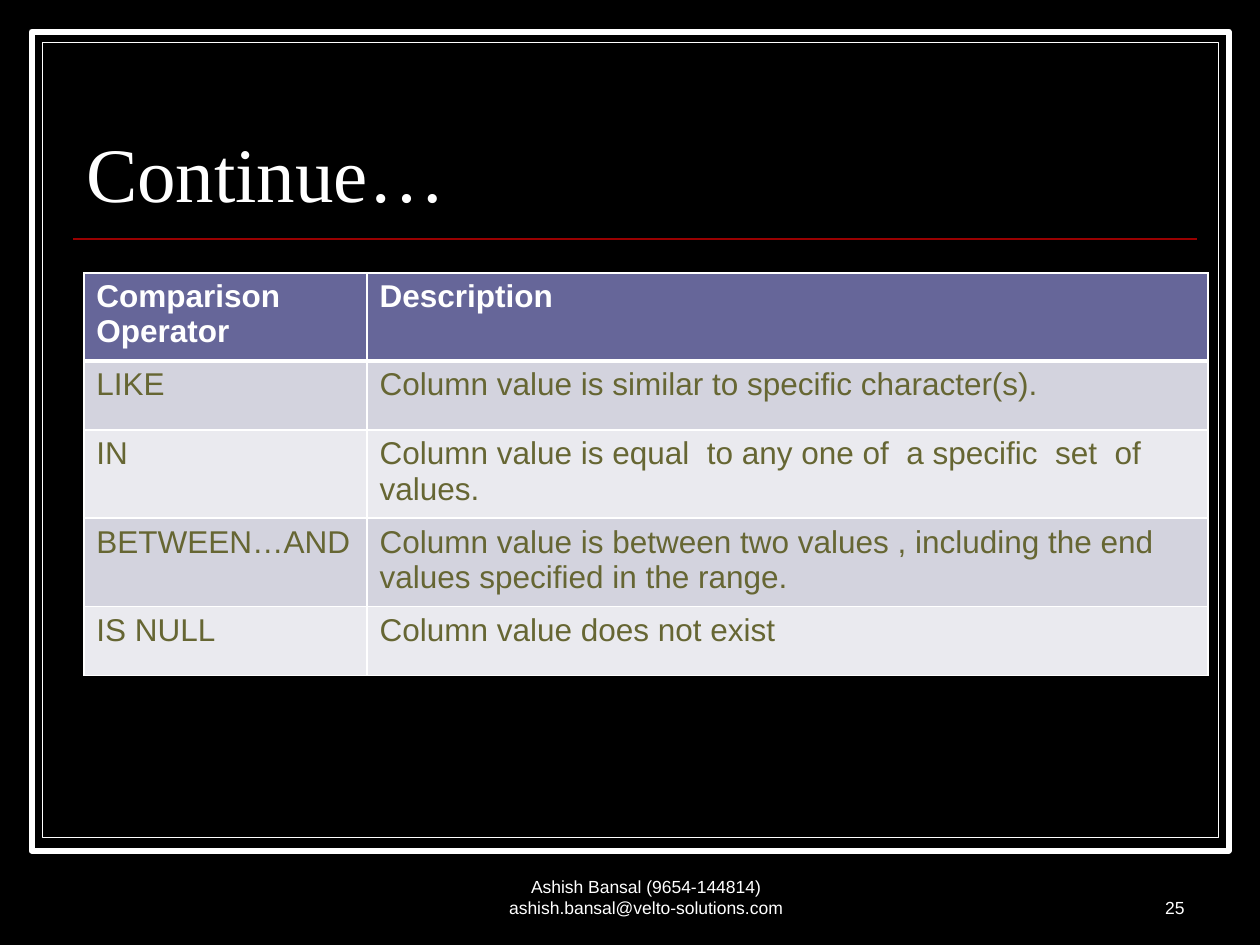
import dataclasses

import lxml.etree
import pptx
import pptx.dml.color
import pptx.enum.shapes
import pptx.enum.text
import pptx.oxml.ns
import pptx.util
from pptx.util import Cm, Pt

COLORS = {
    "background": "000000",
    "light": "FFFFFF",
    "rule": "990000",
    "header": "666699",
    "band_dark": "D3D3DE",
    "band_light": "EAEAEF",
    "body_text": "666633",
}
ALIGN = pptx.enum.text.PP_ALIGN
ANCHOR = pptx.enum.text.MSO_ANCHOR


@dataclasses.dataclass(frozen=True)
class Box:
    left: float
    top: float
    width: float
    height: float

    def lengths(self) -> tuple:
        return tuple(Cm(value) for value in dataclasses.astuple(self))


@dataclasses.dataclass(frozen=True)
class Frame:
    box: Box
    line_width: float


@dataclasses.dataclass(frozen=True)
class Footer:
    box: Box
    text: str
    alignment: ALIGN


FRAMES = [
    Frame(Box(0.64, 0.64, 24.13, 16.51), 3.5),
    Frame(Box(0.86, 0.86, 23.7, 16.03), 0.75),
]
TITLE_BOX = Box(1.48, 1.32, 22.65, 3.18)
RULE_TOP = 4.82
FOOTERS = [
    Footer(Box(9, 17.36, 8.04, 1.27),
           "Ashish Bansal (9654-144814) ashish.bansal@velto-solutions.com", ALIGN.CENTER),
    Footer(Box(18.84, 17.36, 5.29, 1.27), "25", ALIGN.RIGHT),
]
COLUMN_WIDTHS = [5.71, 16.95]
ROW_HEIGHT = 1.39
TABLE_BOX = Box(1.69, 5.5, sum(COLUMN_WIDTHS), 5 * ROW_HEIGHT)
ROWS = [
    ("Comparison \vOperator", "Description"),
    ("LIKE", "Column value is similar to specific character(s)."),
    ("IN", "Column value is equal  to any one of  a specific  set  of values."),
    ("BETWEEN…AND",
     "Column value is between two values , including the end values specified in the range."),
    ("IS NULL", "Column value does not exist"),
]


def color(name: str) -> pptx.dml.color.RGBColor:
    return pptx.dml.color.RGBColor.from_string(COLORS[name])


def format_paragraph(paragraph, size: float, color_name: str,
                     alignment=ALIGN.LEFT, font_name: str = "Arial", bold: bool = False) -> None:
    paragraph.alignment = alignment
    paragraph.font.name = font_name
    paragraph.font.size = Pt(size)
    paragraph.font.bold = bold
    paragraph.font.color.rgb = color(color_name)


def add_frame(slide, frame: Frame):
    shape = slide.shapes.add_shape(pptx.enum.shapes.MSO_SHAPE.RECTANGLE, *frame.box.lengths())
    shape.shadow.inherit = False
    shape.fill.solid()
    shape.fill.fore_color.rgb = color("background")
    shape.line.color.rgb = color("light")
    shape.line.width = Pt(frame.line_width)
    return shape


def add_rule(slide):
    connector = slide.shapes.add_connector(
        pptx.enum.shapes.MSO_CONNECTOR.STRAIGHT,
        Cm(TITLE_BOX.left), Cm(RULE_TOP),
        Cm(TITLE_BOX.left + TITLE_BOX.width), Cm(RULE_TOP))
    connector.line.color.rgb = color("rule")
    connector.line.width = Pt(1)
    lxml.etree.SubElement(connector.element.spPr, pptx.oxml.ns.qn("a:effectLst"))
    return connector


def format_title(title) -> None:
    title.left, title.top, title.width, title.height = TITLE_BOX.lengths()
    text_frame = title.text_frame
    text_frame.text = "Continue…"
    text_frame.auto_size = pptx.enum.text.MSO_AUTO_SIZE.NONE
    text_frame.vertical_anchor = ANCHOR.BOTTOM
    paragraph = text_frame.paragraphs[0]
    paragraph.line_spacing = 0.8
    format_paragraph(paragraph, 44, "light", font_name="Times New Roman")


def add_footer(slide, footer: Footer) -> None:
    text_frame = slide.shapes.add_textbox(*footer.box.lengths()).text_frame
    text_frame.word_wrap = True
    text_frame.vertical_anchor = ANCHOR.BOTTOM
    text_frame.text = footer.text
    format_paragraph(text_frame.paragraphs[0], 10, "light", footer.alignment)


def set_borders(cell, widths: dict[str, float]) -> None:
    properties = cell._tc.get_or_add_tcPr()
    for index, (side, width) in enumerate(widths.items()):
        line = lxml.etree.Element(pptx.oxml.ns.qn(f"a:ln{side}"), w=str(Pt(width)))
        fill = lxml.etree.SubElement(line, pptx.oxml.ns.qn("a:solidFill"))
        lxml.etree.SubElement(fill, pptx.oxml.ns.qn("a:srgbClr"), val=COLORS["light"])
        properties.insert(index, line)


def add_operator_table(slide) -> None:
    table = slide.shapes.add_table(len(ROWS), len(COLUMN_WIDTHS), *TABLE_BOX.lengths()).table
    for column, width in zip(table.columns, COLUMN_WIDTHS):
        column.width = Cm(width)
    for row_index, texts in enumerate(ROWS):
        table.rows[row_index].height = Cm(ROW_HEIGHT)
        is_header = row_index == 0
        band = "band_dark" if row_index % 2 else "band_light"
        for column_index, text in enumerate(texts):
            cell = table.cell(row_index, column_index)
            cell.text_frame.text = text
            cell.fill.solid()
            cell.fill.fore_color.rgb = color("header" if is_header else band)
            format_paragraph(cell.text_frame.paragraphs[0], 18,
                             "light" if is_header else "body_text", bold=is_header)
            set_borders(cell, {"L": 1, "R": 1, "T": 3 if row_index == 1 else 1,
                               "B": 3 if is_header else 1})


def main() -> None:
    presentation = pptx.Presentation()
    presentation.slide_width, presentation.slide_height = Cm(25.4), Cm(19.05)
    slide = presentation.slides.add_slide(presentation.slide_layouts[5])
    slide.background.fill.solid()
    slide.background.fill.fore_color.rgb = color("background")
    title = slide.shapes.title
    format_title(title)
    for decoration in [*(add_frame(slide, frame) for frame in FRAMES), add_rule(slide)]:
        title.element.addprevious(decoration.element)
    for footer in FOOTERS:
        add_footer(slide, footer)
    add_operator_table(slide)
    presentation.save("out.pptx")


if __name__ == "__main__":
    main()
